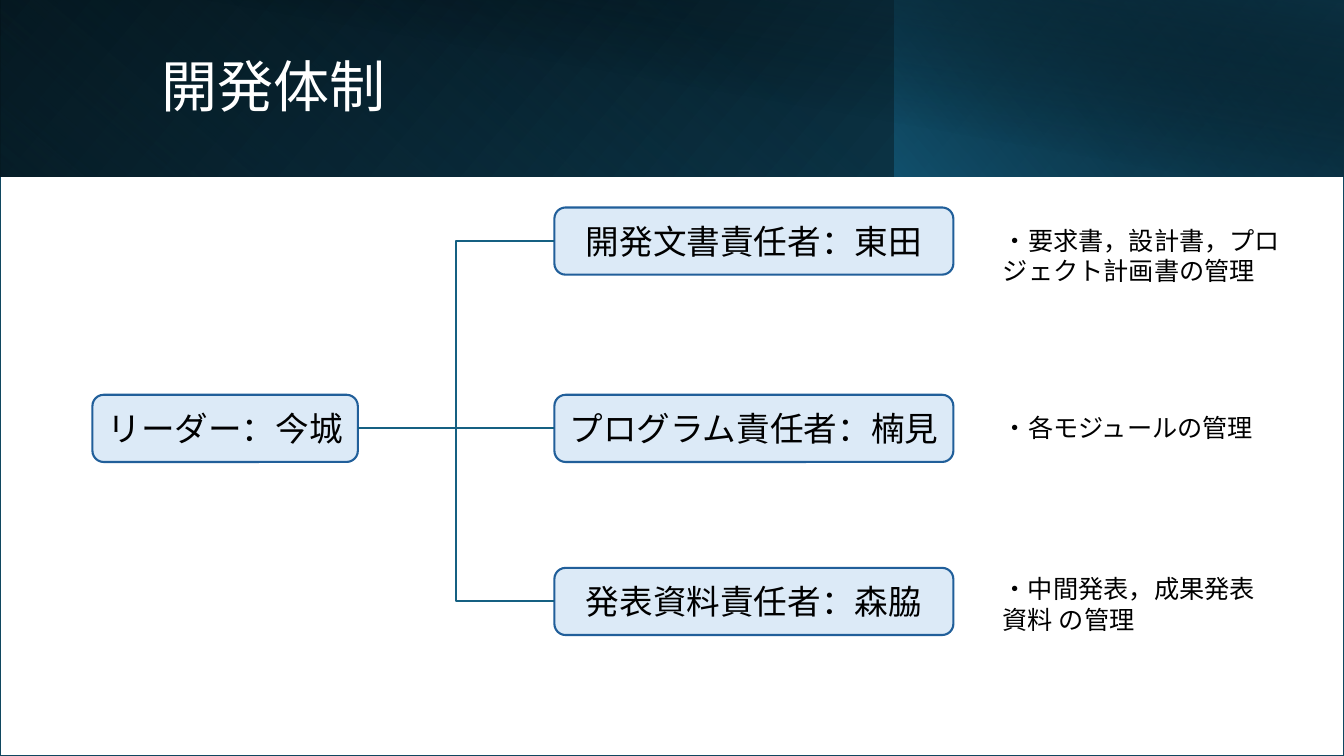
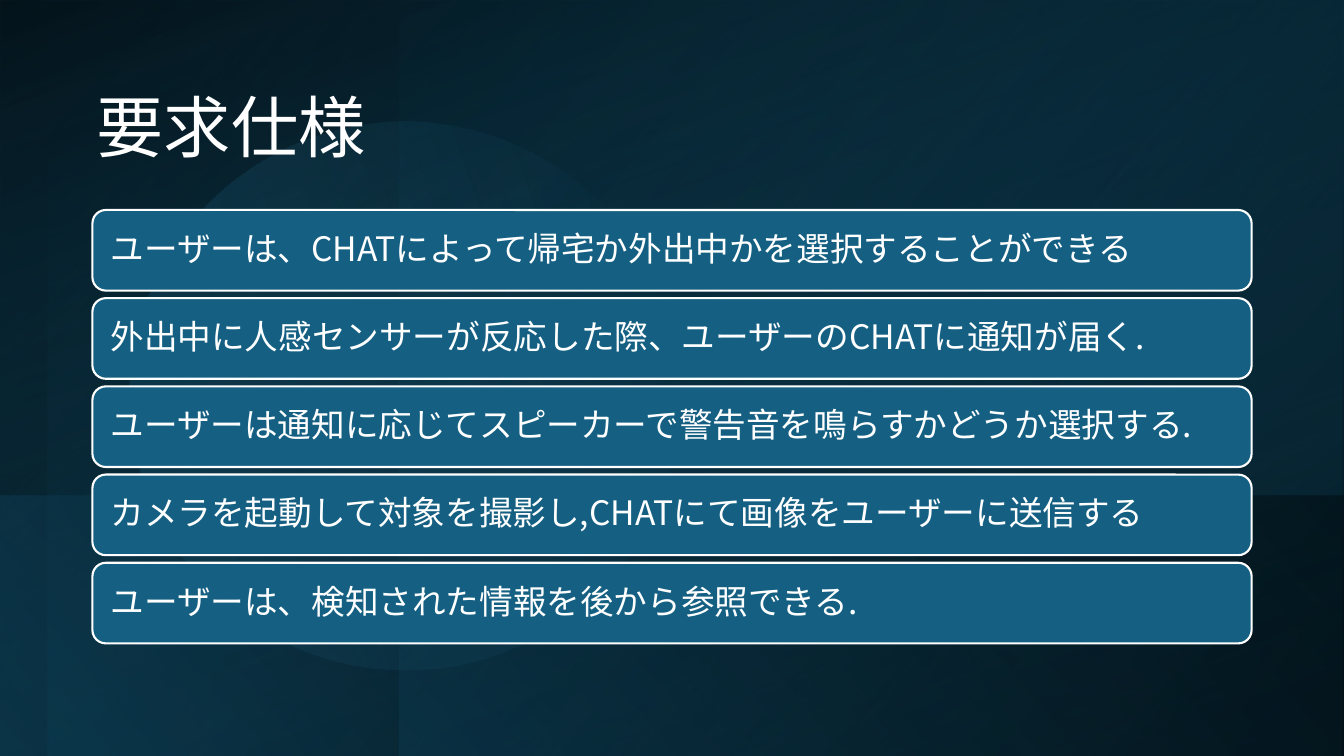
from lxml import etree
from pptx import Presentation
from pptx.dml.color import RGBColor
from pptx.enum.shapes import MSO_CONNECTOR, MSO_SHAPE
from pptx.enum.text import MSO_ANCHOR, MSO_AUTO_SIZE, PP_ALIGN
from pptx.oxml.ns import qn
from pptx.util import Inches, Pt

RECT, ROUND, OVAL = MSO_SHAPE.RECTANGLE, MSO_SHAPE.ROUNDED_RECTANGLE, MSO_SHAPE.OVAL
STRAIGHT, ELBOW = MSO_CONNECTOR.STRAIGHT, MSO_CONNECTOR.ELBOW
TOP, MIDDLE, BOTTOM = MSO_ANCHOR.TOP, MSO_ANCHOR.MIDDLE, MSO_ANCHOR.BOTTOM
LEFT, CENTER = PP_ALIGN.LEFT, PP_ALIGN.CENTER
NO_FIT = MSO_AUTO_SIZE.NONE

WIDTH, HEIGHT = Inches(13.33), Inches(7.5)
COLS, ROWS = 160, 90
FONT = "Noto Sans CJK JP"
BLACK, WHITE = "000000", "FFFFFF"
NAVY, DEEP, TEAL, SKY = "104862", "0B3041", "156082", "46B1E1"
PALE, BLUE, FRAME = "DCEAF7", "215F9A", "104760"
LEFT_COL = 11


def rgb(value):
    """Turn a hex string into a colour."""
    return RGBColor.from_string(value)


class Deck:
    """Hold the shared style and the current slide."""

    def __init__(self):
        """Start an empty widescreen deck."""
        self.prs = Presentation()
        self.prs.slide_width, self.prs.slide_height = WIDTH, HEIGHT
        self.s = None

    def box(self, left, top, width, height):
        """Turn grid columns and rows into slide lengths."""
        x, y = WIDTH / COLS, HEIGHT / ROWS
        return int(left * x), int(top * y), int(width * x), int(height * y)

    def slide(self):
        """Add a slide with a title only."""
        self.s = self.prs.slides.add_slide(self.prs.slide_layouts[5])

    def put_text(self, tf, text, size, color, align=LEFT, anchor=TOP, spacing=None):
        """Fill a text frame with one styled paragraph."""
        tf.word_wrap = True
        tf.vertical_anchor = anchor
        p = tf.paragraphs[0]
        p.text, p.alignment, p.line_spacing = text, align, spacing
        p.font.name, p.font.size = FONT, Pt(size)
        p.font.color.rgb = rgb(color)
        props = p._p.pPr.find(qn("a:defRPr"))
        etree.SubElement(props, qn("a:ea"), typeface=FONT)

    def title(self, text, place, size, anchor):
        """Place the title above the backdrop."""
        sp = self.s.shapes.title
        sp.left, sp.top, sp.width, sp.height = self.box(*place)
        sp.text_frame.auto_size = NO_FIT
        self.put_text(sp.text_frame, text, size, WHITE, anchor=anchor, spacing=0.9)
        self.s.shapes._spTree.append(sp._element)

    def shape(self, kind, place, fill=None, line=None, weight=1.5):
        """Add a preset shape, with or without an outline."""
        sp = self.s.shapes.add_shape(kind, *self.box(*place))
        sp.shadow.inherit = False
        if fill:
            sp.fill.solid()
            sp.fill.fore_color.rgb = rgb(fill)
        if line:
            sp.line.color.rgb = rgb(line)
            sp.line.width = Pt(weight)
        else:
            sp.line.fill.background()
        return sp

    def glow(self, place, angle, start, end, flip=False, turn=0, kind=RECT):
        """Add a gradient panel from stops of position, colour and opacity."""
        sp = self.shape(kind, place)
        sp.rotation = turn
        if flip:
            sp._element.spPr.xfrm.set("flipH", "1")
        sp.fill.gradient()
        sp.fill.gradient_angle = 360 - angle
        for stop, (position, color, opacity) in zip(sp.fill.gradient_stops, (start, end)):
            stop.position = position / 100
            stop.color.rgb = rgb(color)
        clrs = sp._element.spPr.find(qn("a:gradFill")).iter(qn("a:srgbClr"))
        for clr, (position, color, opacity) in zip(clrs, (start, end)):
            etree.SubElement(clr, qn("a:alpha"), val=str(opacity * 1000))

    def role(self, text, place):
        """Add a pale box naming a role."""
        sp = self.shape(ROUND, place, PALE, BLUE)
        self.put_text(sp.text_frame, text, 24, BLACK, CENTER, MIDDLE)
        return sp

    def card(self, text, place):
        """Add a dark card holding one requirement."""
        sp = self.shape(ROUND, place, TEAL, WHITE)
        sp.text_frame.margin_left = sp.text_frame.margin_right = Inches(0.14)
        self.put_text(sp.text_frame, text, 24, WHITE, anchor=MIDDLE, spacing=0.9)

    def note(self, text, place):
        """Add a plain text box."""
        sp = self.s.shapes.add_textbox(*self.box(*place))
        self.put_text(sp.text_frame, text, 18, BLACK)

    def link(self, start, end, kind):
        """Join the right side of one box to the left side of another."""
        line = self.s.shapes.add_connector(kind, 0, 0, 0, 0)
        line.begin_connect(start, 3)
        line.end_connect(end, 1)
        line.line.color.rgb = rgb(TEAL)
        line.line.width = Pt(1.5)
        etree.SubElement(line._element.spPr, qn("a:effectLst"))


def team_slide(deck):
    """Build the team structure slide."""
    band = 21
    split = 106.5
    deck.slide()
    deck.shape(RECT, (0, 0, COLS, ROWS), WHITE, FRAME, 1)
    deck.glow((0, 0, COLS, band), 140, (0, BLACK, 100), (100, NAVY, 100), flip=True)
    deck.glow((0, 0, split, band), 230, (20, TEAL, 0), (100, DEEP, 55), flip=True, turn=180)
    deck.glow((split, 0, COLS - split, band), 220, (0, TEAL, 66), (100, BLACK, 30), flip=True)
    deck.glow((6, 0, COLS - 6, band), 280, (50, BLACK, 0), (99, DEEP, 52))
    deck.title("開発体制", (18, 3.8, 130, 13.6), 40, MIDDLE)

    height = 8
    leader = deck.role("リーダー：今城", (LEFT_COL, 47, 31.6, height))
    rows = [
        (24.7, "開発文書責任者：東田", ELBOW, 26.2, 38, "・要求書，設計書，プロ ジェクト計画書の管理"),
        (47, "プログラム責任者：楠見", STRAIGHT, 48.5, 34, "・各モジュールの管理"),
        (67.6, "発表資料責任者：森脇", ELBOW, 67.7, 35, "・中間発表，成果発表資料 の管理"),
    ]
    for top, name, kind, note_top, note_width, duty in rows:
        member = deck.role(name, (66, top, 47.5, height))
        deck.link(leader, member, kind)
        deck.note(duty, (118.2, note_top, note_width, height))


def requirements_slide(deck):
    """Build the requirements slide."""
    deck.slide()
    deck.glow((0, 0, COLS, ROWS), 70, (0, BLACK, 100), (100, NAVY, 100), turn=180)
    deck.glow((5.7, 0, COLS - 5.7, ROWS), 140, (21, DEEP, 83), (100, TEAL, 0), flip=True, turn=180)
    deck.glow((0, 0, 47.4, ROWS), 220, (0, NAVY, 0), (99, BLACK, 41), turn=180)
    deck.glow((0, 0, COLS, ROWS), 290, (3, NAVY, 0), (100, BLACK, 73), flip=True)
    deck.glow((58.8, -11.3, 90, 112.6), 230, (3, NAVY, 0), (100, BLACK, 27), flip=True, turn=90)
    deck.glow((15.6, 14.3, 65.2, 65.5), 240, (0, TEAL, 26), (85, SKY, 0), turn=100, kind=OVAL)
    deck.glow((0, 59, COLS, 31), 220, (0, NAVY, 50), (99, BLACK, 34), flip=True)
    deck.title("要求仕様", (10.3, 9.2, 88, 11.3), 48, BOTTOM)

    needs = [
        "ユーザーは、CHATによって帰宅か外出中かを選択することができる",
        "外出中に人感センサーが反応した際、ユーザーのCHATに通知が届く.",
        "ユーザーは通知に応じてスピーカーで警告音を鳴らすかどうか選択する.",
        "カメラを起動して対象を撮影し,CHATにて画像をユーザーに送信する",
        "ユーザーは、検知された情報を後から参照できる.",
    ]
    for i, need in enumerate(needs):
        deck.card(need, (LEFT_COL, 25 + 10.5 * i, 138, 9.6))


def main():
    """Build and save the deck."""
    deck = Deck()
    team_slide(deck)
    requirements_slide(deck)
    deck.prs.save("out.pptx")


if __name__ == "__main__":
    main()
